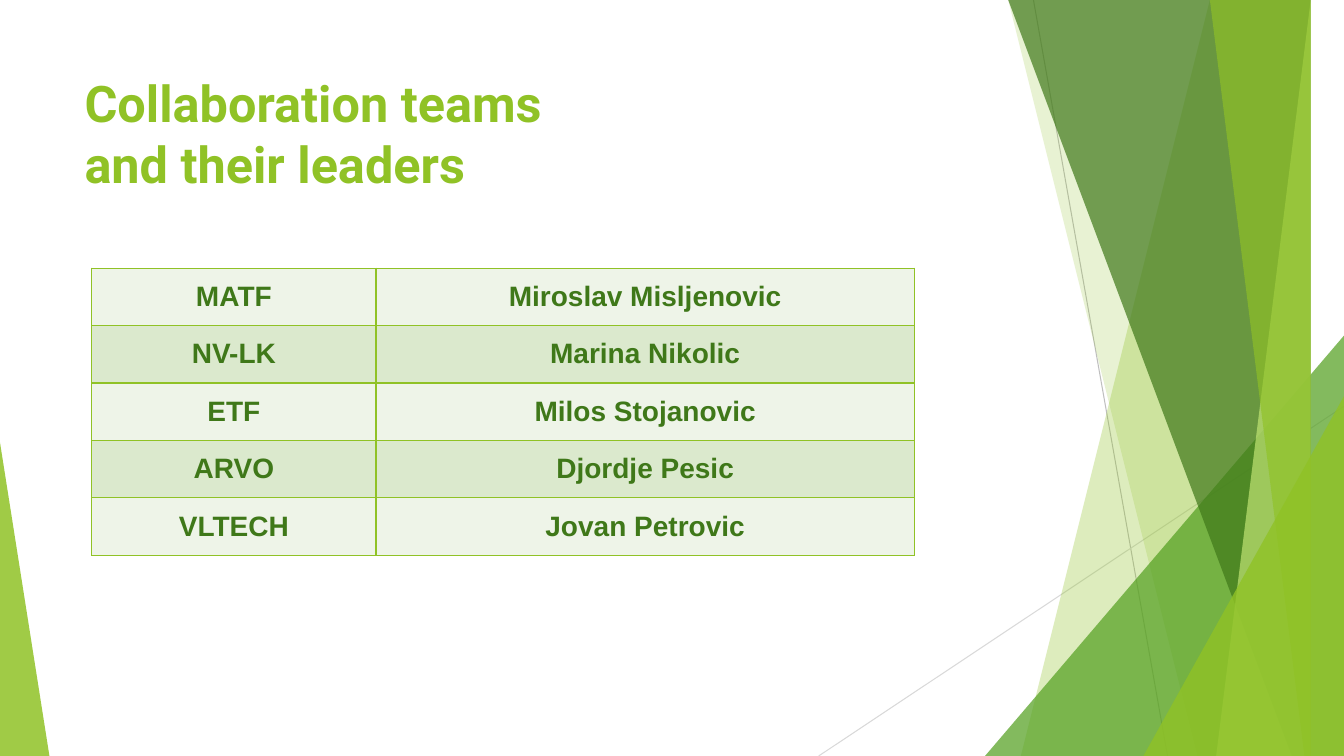
from lxml import etree
from pptx import Presentation
from pptx import util as u
from pptx.dml.color import RGBColor
from pptx.enum import shapes, text
from pptx.oxml import ns

COLORS = {
    "lime": "90C226", "pale_lime": "C0E474", "green": "54A021", "forest": "3F7819",
    "grey": "BFBFBF", "light_grey": "D9D9D9", "row_light": "EEF4E8", "row_dark": "DBE9CD",
}
WIDTH, HEIGHT = 13.33, 7.5


class SlideBuilder:
    """Holds the style and the current slide and draws each kind of element."""

    def __init__(self, slide, colors):
        self.slide = slide
        self.colors = colors

    def rgb(self, color):
        return RGBColor.from_string(self.colors[color])

    def paint(self, shape, color, opacity):
        shape.shadow.inherit = False
        shape.line.fill.background()
        shape.fill.solid()
        shape.fill.fore_color.rgb = self.rgb(color)
        fill_color = shape.fill._xPr.find(ns.qn("a:solidFill"))[0]
        etree.SubElement(fill_color, ns.qn("a:alpha"), val=str(opacity * 1000))

    def line(self, start, end, color):
        points = [u.Inches(value) for value in (*start, *end)]
        connector = self.slide.shapes.add_connector(shapes.MSO_CONNECTOR.STRAIGHT, *points)
        connector.line.color.rgb = self.rgb(color)
        connector.line.width = u.Pt(0.75)
        etree.SubElement(connector._element.spPr, ns.qn("a:effectLst"))

    def band(self, top_left, bottom_left, color, opacity):
        builder = self.slide.shapes.build_freeform(top_left, -0.01, scale=u.Inches(1))
        corners = [(WIDTH, -0.01), (WIDTH, HEIGHT), (bottom_left, HEIGHT)]
        builder.add_line_segments(corners, close=True)
        self.paint(builder.convert_to_shape(), color, opacity)

    def triangle(self, left, top, width, apex, color, opacity):
        box = [u.Inches(value) for value in (left, top, width, HEIGHT - top)]
        shape = self.slide.shapes.add_shape(shapes.MSO_SHAPE.ISOSCELES_TRIANGLE, *box)
        shape.adjustments[0] = apex
        self.paint(shape, color, opacity)

    def format_runs(self, paragraph, font, size, color):
        for run in paragraph.runs:
            run.font.name = font
            run.font.size = u.Pt(size)
            run.font.bold = True
            run.font.color.rgb = self.rgb(color)

    def title(self, wording, left, top, width, height):
        box = [u.Inches(value) for value in (left, top, width, height)]
        frame = self.slide.shapes.add_textbox(*box).text_frame
        frame.word_wrap = True
        frame.vertical_anchor = text.MSO_ANCHOR.TOP
        paragraph = frame.paragraphs[0]
        paragraph.text = wording
        self.format_runs(paragraph, "Roboto", 36, "lime")

    def cell(self, cell, wording, fill):
        cell.margin_left = cell.margin_right = u.Inches(0.07)
        cell.margin_top = cell.margin_bottom = 0
        cell.vertical_anchor = text.MSO_ANCHOR.MIDDLE
        cell.fill.solid()
        cell.fill.fore_color.rgb = self.rgb(fill)
        properties = cell._tc.get_or_add_tcPr()
        for position, side in enumerate(("lnL", "lnR", "lnT", "lnB")):
            border = etree.Element(ns.qn(f"a:{side}"), w=str(u.Pt(1)))
            border_fill = etree.SubElement(border, ns.qn("a:solidFill"))
            etree.SubElement(border_fill, ns.qn("a:srgbClr"), val=self.colors["lime"])
            properties.insert(position, border)
        paragraph = cell.text_frame.paragraphs[0]
        paragraph.text = wording
        paragraph.alignment = text.PP_ALIGN.CENTER
        paragraph.space_before = u.Pt(10)
        self.format_runs(paragraph, "Arial", 20, "forest")

    def table(self, rows, left, top, column_widths, row_height):
        size = (sum(column_widths), row_height * len(rows))
        box = [u.Inches(value) for value in (left, top, *size)]
        table = self.slide.shapes.add_table(len(rows), len(column_widths), *box).table
        table.first_row = table.horz_banding = False
        for column, width in zip(table.columns, column_widths):
            column.width = u.Inches(width)
        for index, (row, wordings) in enumerate(zip(table.rows, rows)):
            row.height = u.Inches(row_height)
            for cell, wording in zip(row.cells, wordings):
                self.cell(cell, wording, ("row_light", "row_dark")[index % 2])


presentation = Presentation()
presentation.slide_width = u.Inches(WIDTH)
presentation.slide_height = u.Inches(HEIGHT)
slide = presentation.slides.add_slide(presentation.slide_layouts[6])
builder = SlideBuilder(slide, COLORS)

builder.line((10.25, 0), (11.58, HEIGHT), "grey")
builder.line((WIDTH, 4.03), (8.12, HEIGHT), "light_grey")
builder.band(12.28, 10.04, "lime", 30)
builder.band(10.5, 11.83, "lime", 20)
builder.triangle(9.77, 3.33, 3.56, 1, "green", 72)
builder.band(10.21, 12.91, "forest", 70)
builder.band(13.03, 11.92, "pale_lime", 70)
builder.band(11.96, 13.18, "lime", 65)
builder.triangle(11.34, 3.93, 1.99, 1, "lime", 80)
builder.triangle(0, 4.39, 0.49, 0, "lime", 85)

builder.title("Collaboration teams\vand their leaders", 0.74, 0.67, 9.4, 1.44)
team_leaders = [
    ("MATF", "Miroslav Misljenovic"),
    ("NV-LK", "Marina Nikolic"),
    ("ETF", "Milos Stojanovic"),
    ("ARVO", "Djordje Pesic"),
    ("VLTECH", "Jovan Petrovic"),
]
builder.table(team_leaders, 0.91, 2.66, (2.82, 5.34), 0.57)

presentation.save("out.pptx")
